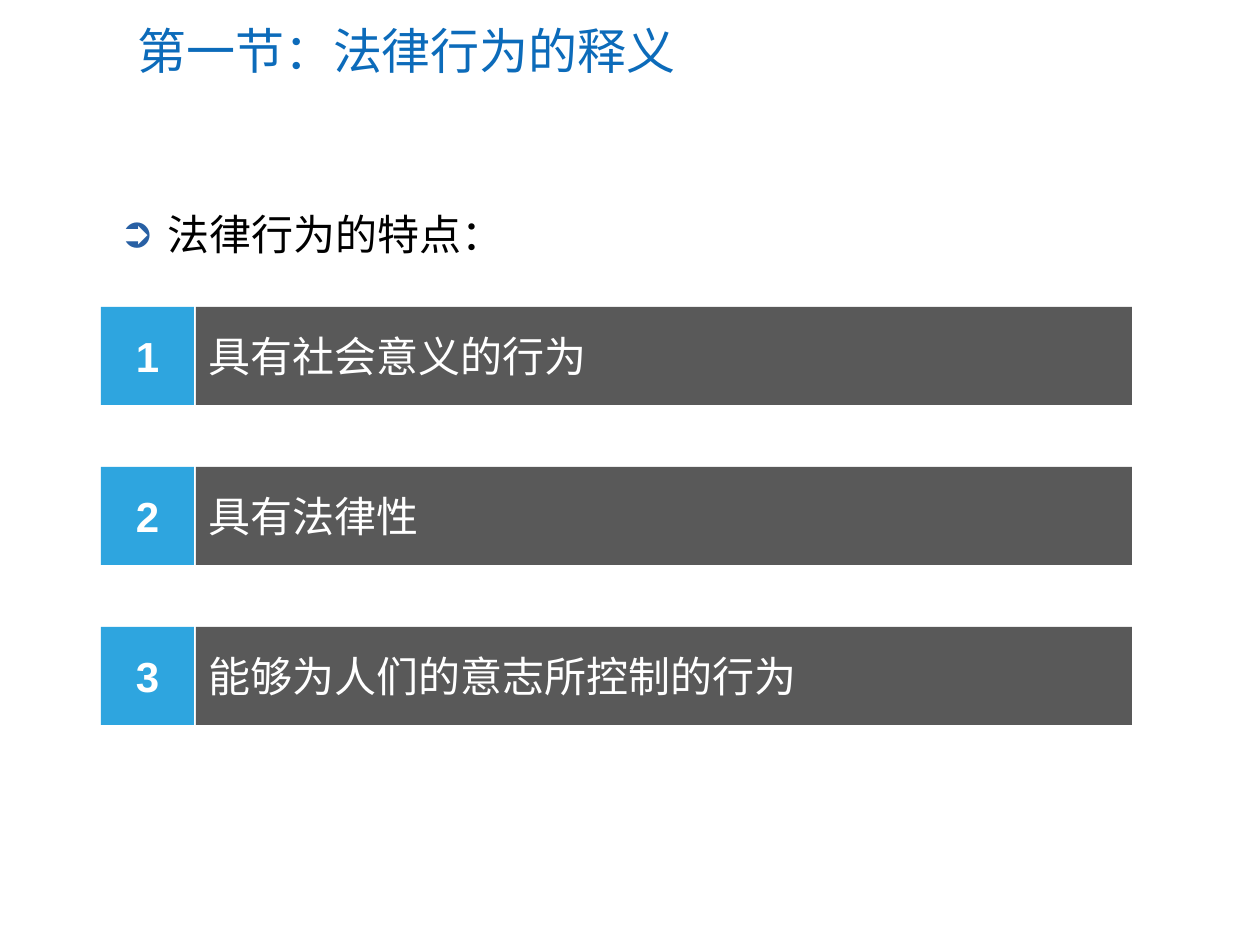
from lxml import etree
from pptx import Presentation, util as u
from pptx.dml.color import RGBColor
from pptx.enum import shapes, text
from pptx.oxml.ns import qn

PX = 914400 // 126
HUE = {"title": "0C6BBA", "badge": "2EA5DF", "bar": "595959",
       "mark": "2860A4", "ink": "000000", "white": "FFFFFF"}
MID, TOP = text.MSO_ANCHOR.MIDDLE, text.MSO_ANCHOR.TOP
LEFT, MIDST = text.PP_ALIGN.LEFT, text.PP_ALIGN.CENTER


def write(shape, words, size, hue, font="Calibri", bold=False,
          align=LEFT, anchor=MID, gap=0):
    frame = shape.text_frame
    frame.word_wrap = True
    frame.vertical_anchor = anchor
    para = frame.paragraphs[0]
    para.alignment = align
    para.space_before = u.Pt(gap)
    run = para.add_run()
    run.text = words
    run.font.size = u.Pt(size)
    run.font.name = font
    run.font.bold = bold
    run.font.color.rgb = RGBColor.from_string(HUE[hue])
    return para


def block(group, x, y, w, h, hue):
    rect = group.shapes.add_shape(shapes.MSO_SHAPE.RECTANGLE,
                                  x * PX, y * PX, w * PX, h * PX)
    rect.shadow.inherit = False
    rect.fill.solid()
    rect.fill.fore_color.rgb = RGBColor.from_string(HUE[hue])
    rect.line.fill.background()
    return rect


deck = Presentation()
deck.slide_width, deck.slide_height = u.Inches(10), u.Inches(7.5)
slide = deck.slides.add_slide(deck.slide_layouts[6])

# Title
title = slide.shapes.add_textbox(125 * PX, 13 * PX, 1099 * PX, 73 * PX)
write(title, "第一节：法律行为的释义", 28, "title")

# Numbered bars
rows = ["具有社会意义的行为", "具有法律性", "能够为人们的意志所控制的行为"]
for i, words in enumerate(rows):
    y = 307 + 160 * i
    group = slide.shapes.add_group_shape()
    badge = block(group, 101, y, 93, 98, "badge")
    write(badge, str(i + 1), 24, "white", "Arial", True, MIDST, gap=5)
    bar = block(group, 196, y, 936, 98, "bar")
    write(bar, words, 24, "white", gap=5)

# Lead line with arrow bullet
lead = slide.shapes.add_textbox(107 * PX, 202 * PX, 999 * PX, 78 * PX)
para = write(lead, "法律行为的特点：", 24, "ink", anchor=TOP, gap=5)
props = para._p.get_or_add_pPr()
props.set("marL", str(48 * PX))
props.set("indent", str(-48 * PX))
tint = etree.SubElement(props, qn("a:buClr"))
etree.SubElement(tint, qn("a:srgbClr"), val=HUE["mark"])
etree.SubElement(props, qn("a:buFont"), typeface="Arial")
etree.SubElement(props, qn("a:buChar"), char="➲")

deck.save("out.pptx")
